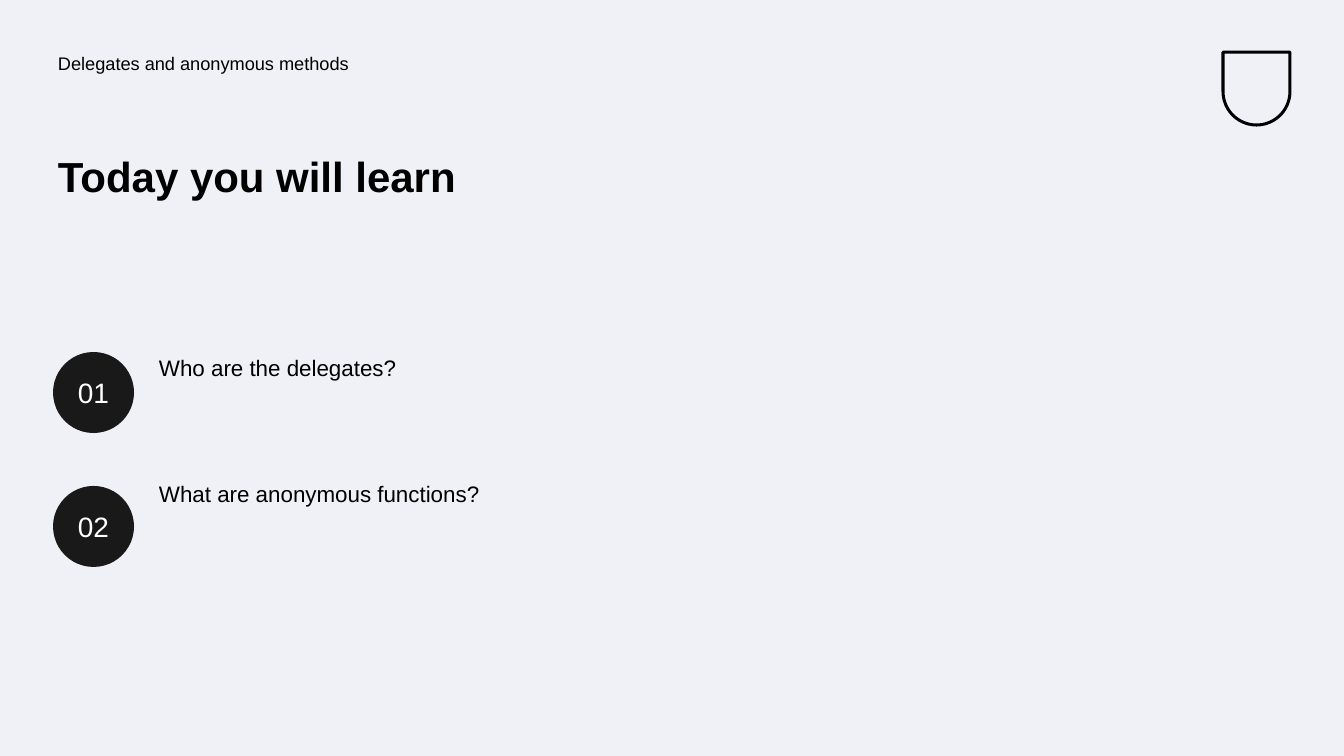
from pptx import Presentation
from pptx import util as u
from pptx.dml import color
from pptx.enum import shapes, text

WIDTH, HEIGHT = 1344, 756
EMU_PER_PX = u.Inches(1) / 100.8
COLORS = {"background": "F0F1F6", "ink": "000000", "badge": "191919", "number": "FEFFFF"}
FONT = "Arial"


def px(length):
    return u.Emu(round(length * EMU_PER_PX))


def rgb(name):
    return color.RGBColor.from_string(COLORS[name])


class Agenda:
    def __init__(self, slide):
        self.slide = slide
        slide.background.fill.solid()
        slide.background.fill.fore_color.rgb = rgb("background")

    def style(self, paragraph, size, ink, bold=False):
        paragraph.font.name = FONT
        paragraph.font.size = u.Pt(size)
        paragraph.font.bold = bold
        paragraph.font.color.rgb = rgb(ink)

    def label(self, wording, box, size, bold=False, before=0):
        frame = self.slide.shapes.add_textbox(*map(px, box)).text_frame
        frame.word_wrap = True
        frame.margin_left = frame.margin_right = px(5)
        frame.margin_top = frame.margin_bottom = px(5)
        line = frame.paragraphs[0]
        line.text = wording
        line.line_spacing = 0.9
        line.space_before = u.Pt(before)
        self.style(line, size, "ink", bold)

    def badge(self, number, left, top, diameter):
        circle = self.slide.shapes.add_shape(
            shapes.MSO_SHAPE.OVAL, *map(px, (left, top, diameter, diameter)))
        circle.shadow.inherit = False
        circle.fill.solid()
        circle.fill.fore_color.rgb = rgb("badge")
        circle.line.fill.background()
        frame = circle.text_frame
        frame.margin_left = frame.margin_right = 0
        frame.margin_top = frame.margin_bottom = 0
        frame.vertical_anchor = text.MSO_ANCHOR.MIDDLE
        line = frame.paragraphs[0]
        line.text = f"{number:02}"
        line.alignment = text.PP_ALIGN.CENTER
        self.style(line, 20, "number")

    def emblem(self, box):
        """Draw a plain shield outline, rounded at the bottom."""
        shield = self.slide.shapes.add_shape(
            shapes.MSO_SHAPE.ROUND_2_SAME_RECTANGLE, *map(px, box))
        shield.adjustments[0] = 0.5
        shield.rotation = 180
        shield.shadow.inherit = False
        shield.fill.background()
        shield.line.color.rgb = rgb("ink")
        shield.line.width = px(3)


def main():
    deck = Presentation()
    deck.slide_width, deck.slide_height = px(WIDTH), px(HEIGHT)
    agenda = Agenda(deck.slides.add_slide(deck.slide_layouts[6]))

    agenda.emblem((1223, 52, 67, 73))
    agenda.label("Delegates and anonymous methods", (53, 50, 619, 50), 13, before=10)
    agenda.label("Today you will learn", (53, 151, 569, 150), 30, bold=True)

    topics = ["Who are the delegates?", "What are anonymous functions?"]
    for index, topic in enumerate(topics):
        agenda.label(topic, (154, 352 + 126 * index, 467, 100), 16)
        agenda.badge(index + 1, 53, 352 + 134 * index, 81)

    deck.save("out.pptx")


if __name__ == "__main__":
    main()
